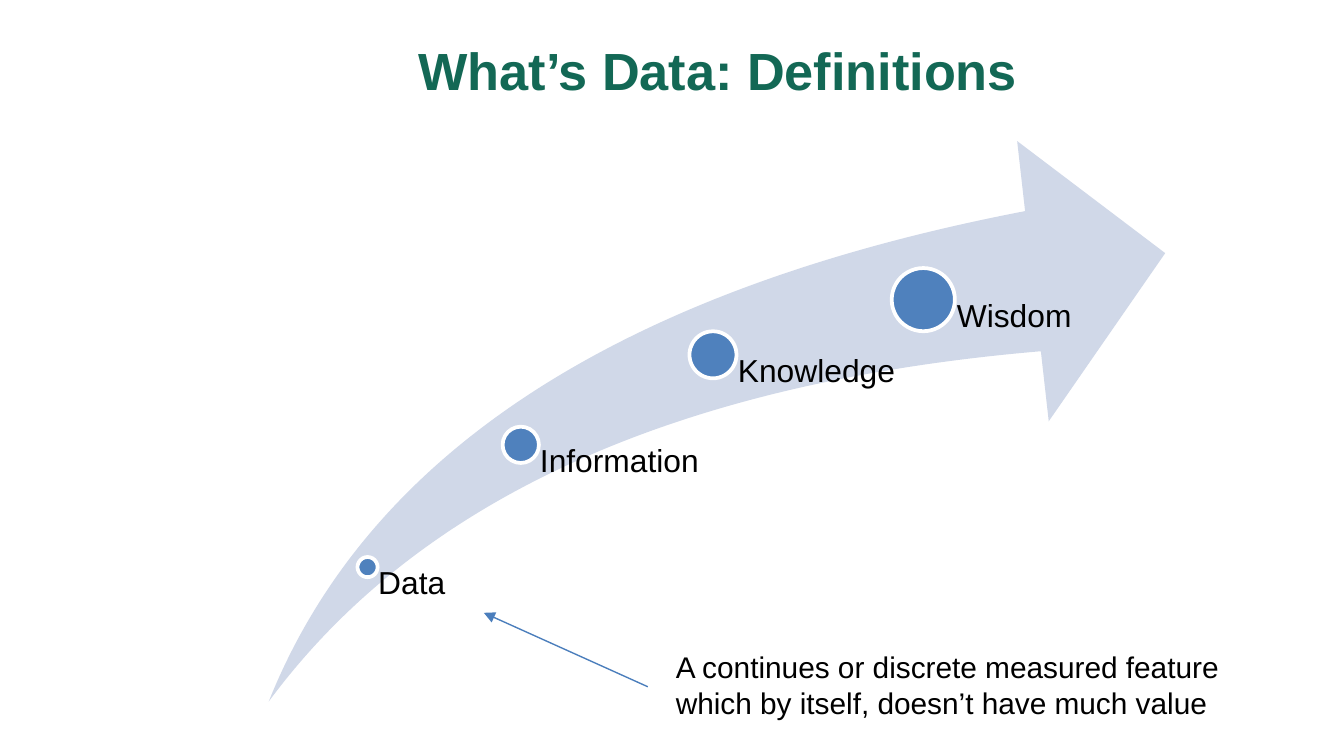
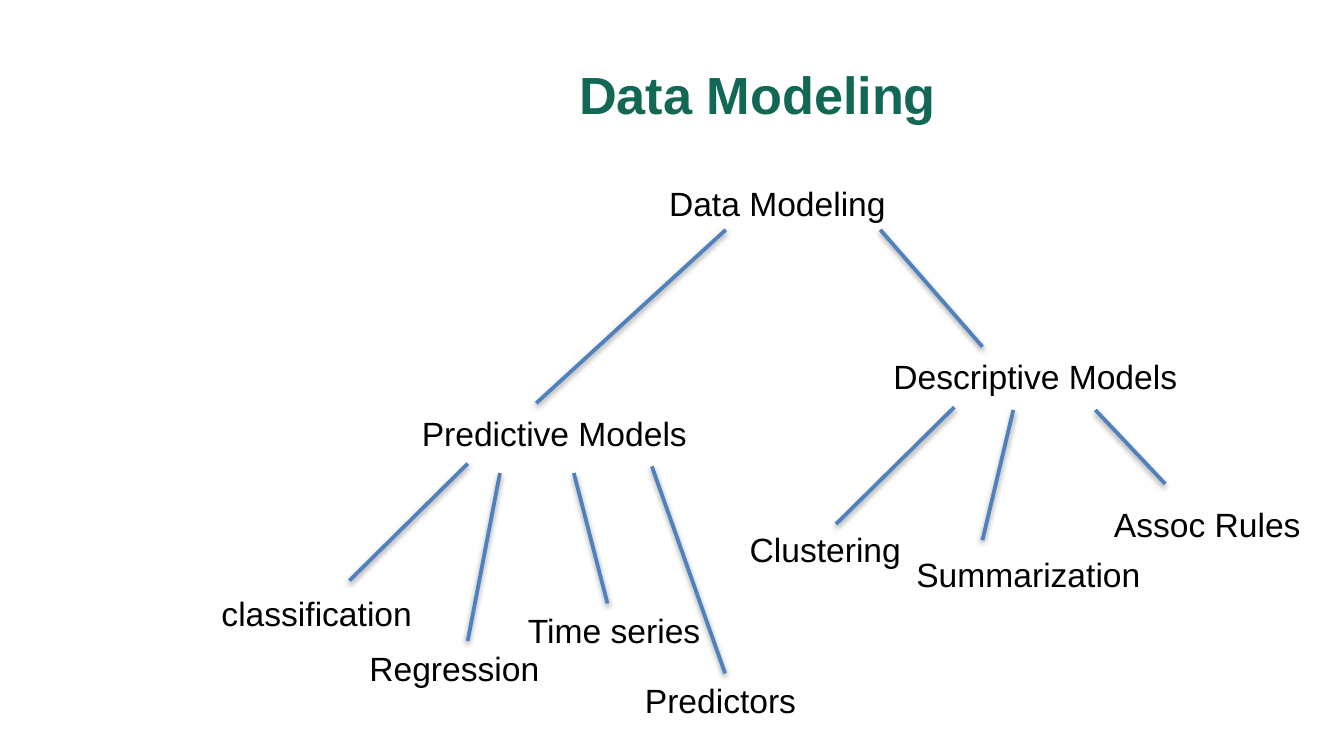
from typing import NamedTuple

from lxml import etree
from pptx import Presentation
from pptx.dml.color import RGBColor
from pptx.enum.shapes import MSO_CONNECTOR, MSO_SHAPE
from pptx.enum.text import MSO_ANCHOR, MSO_AUTO_SIZE, PP_ALIGN
from pptx.oxml.ns import qn
from pptx.shapes.autoshape import Shape
from pptx.shapes.connector import Connector
from pptx.shapes.shapetree import GroupShapes, SlideShapes
from pptx.slide import Slide
from pptx.util import Inches, Pt

Shapes = SlideShapes | GroupShapes

LINE = MSO_CONNECTOR.STRAIGHT
OVAL = MSO_SHAPE.OVAL
SWOOSH = MSO_SHAPE.SWOOSH_ARROW
CENTER = PP_ALIGN.CENTER
MIDDLE = MSO_ANCHOR.MIDDLE
GROW = MSO_AUTO_SIZE.SHAPE_TO_FIT_TEXT
TOP = 0

GREEN = RGBColor(0x13, 0x68, 0x55)
BLUE = RGBColor(0x4F, 0x81, 0xBD)
STEEL = RGBColor(0x4B, 0x7E, 0xBC)
PALE = RGBColor(0xD0, 0xD8, 0xE8)
WHITE = RGBColor(0xFF, 0xFF, 0xFF)
BLACK = RGBColor(0, 0, 0)

FONT = "Arial"
WIDTH, HEIGHT = Inches(10), Inches(5.625)
CELL = WIDTH / 100  # the grid has 100 columns, with square cells
NODE_ROWS = 4
STEP_END = 52.2  # row where every step label's box ends


class Box(NamedTuple):
    """A place on the grid, in columns and rows."""
    left: float
    top: float
    width: float
    height: float


class Step(NamedTuple):
    """A dot on the arrow, given by its middle, and its label."""
    text: str
    x: float
    y: float
    size: float
    width: float


class Node(NamedTuple):
    text: str
    left: float
    top: float
    width: float


class Link(NamedTuple):
    x1: float
    y1: float
    x2: float
    y2: float
    target: str = ""  # node whose top middle the line meets


STEPS = [
    Step("Data", 27.35, 42.2, 1.5, 11.4),
    Step("Information", 38.75, 33.1, 2.7, 14),
    Step("Knowledge", 53.05, 26.4, 3.5, 14),
    Step("Wisdom", 68.7, 22.3, 4.7, 14),
]

NODES = [
    Node("Data Modeling", 48.8, 13.1, 19),
    Node("Predictive Models", 30.4, 30.2, 22.6),
    Node("Descriptive Models", 65.5, 26, 24),
    Node("classification", 15.5, 43.6, 16.6),
    Node("Regression", 26.5, 47.7, 15.1),
    Node("Time series", 38.3, 44.9, 16.1),
    Node("Predictors", 47, 50.1, 13.9),
    Node("Clustering", 54.8, 38.9, 16.6),
    Node("Assoc Rules", 81.9, 37, 16.6),
    Node("Summarization", 67.2, 40.7, 19),
]

LINKS = [
    Link(54, 17.1, 39.9, 30),
    Link(65.5, 17.1, 73.1, 25.8),
    Link(34.8, 34.5, 26, 43.2),
    Link(71, 30.3, 62.2, 39),
    Link(75.4, 30.5, 73.1, 40.2),
    Link(81.5, 30.5, 86.7, 36),
    Link(37.2, 35.2, 34.8, 47.7),
    Link(42.7, 35.2, 45.2, 44.9),
    Link(48.5, 34.7, 54, 50.1, "Predictors"),
]


def grid(*cells: float) -> list[int]:
    """Turn grid cells into slide units."""
    return [round(cell * CELL) for cell in cells]


def add_text(shapes: Shapes, box: Box, text: str, size: float,
             color: RGBColor = BLACK, bold: bool = False) -> Shape:
    """Add a wrapped text box, with one paragraph per line of text."""
    shape = shapes.add_textbox(*grid(*box))
    frame = shape.text_frame
    frame.word_wrap = True
    frame.text = text
    for para in frame.paragraphs:
        font = para.font
        font.name, font.size, font.bold = FONT, Pt(size), bold
        font.color.rgb = color
    return shape


def add_title(slide: Slide, box: Box, text: str) -> None:
    frame = add_text(slide.shapes, box, text, 28, GREEN, True).text_frame
    frame.vertical_anchor = MIDDLE
    frame.paragraphs[0].alignment = CENTER


def add_form(shapes: Shapes, kind: MSO_SHAPE, box: Box, fill: RGBColor) -> Shape:
    """Add a flat preset shape without an outline."""
    shape = shapes.add_shape(kind, *grid(*box))
    shape.shadow.inherit = False
    shape.fill.solid()
    shape.fill.fore_color.rgb = fill
    shape.line.fill.background()
    return shape


def add_step(shapes: Shapes, step: Step) -> None:
    half = step.size / 2
    dot = add_form(shapes, OVAL, Box(step.x - half, step.y - half, step.size, step.size), BLUE)
    dot.line.color.rgb = WHITE
    dot.line.width = Pt(2)
    box = Box(step.x, step.y, step.width, STEP_END - step.y)
    frame = add_text(shapes, box, step.text, 17).text_frame
    frame.margin_left = grid(step.size * 0.53)[0]
    frame.margin_top = frame.margin_right = frame.margin_bottom = 0
    frame.paragraphs[0].line_spacing = 0.9


def add_line(shapes: Shapes, link: Link, color: RGBColor, width: float) -> Connector:
    line = shapes.add_connector(LINE, *grid(*link[:4]))
    line.line.color.rgb = color
    line.line.width = Pt(width)
    etree.SubElement(line._element.spPr, qn("a:effectLst"))
    return line


def add_head(line: Connector) -> None:
    stroke = line._element.spPr.find(qn("a:ln"))
    etree.SubElement(stroke, qn("a:tailEnd"), type="triangle")


def add_shadow(line: Connector) -> None:
    effects = line._element.spPr.find(qn("a:effectLst"))
    shadow = etree.SubElement(effects, qn("a:outerShdw"), blurRad="40000",
                              dist="20000", dir="5400000", rotWithShape="0")
    tint = etree.SubElement(shadow, qn("a:srgbClr"), val=str(BLACK))
    etree.SubElement(tint, qn("a:alpha"), val="38000")


def draw_steps(slide: Slide) -> None:
    add_title(slide, Box(18.8, 2.3, 69.2, 5.8), "What’s Data: Definitions")
    group = slide.shapes.add_group_shape().shapes
    arrow = add_form(group, SWOOSH, Box(20, 10.5, 66.7, 41.7), PALE)
    arrow.adjustments[0] = arrow.adjustments[1] = 0.25
    for step in STEPS:
        add_step(group, step)
    note = add_text(slide.shapes, Box(49.3, 47.8, 43.9, 6.4),
                    "A continues or discrete measured feature\n"
                    "which by itself, doesn’t have much value", 16)
    note.text_frame.auto_size = GROW
    add_head(add_line(slide.shapes, Link(48.2, 51.1, 36, 45.6), STEEL, 0.75))


def draw_tree(slide: Slide) -> None:
    add_title(slide, Box(18.8, 2.3, 76.2, 9.4), "Data Modeling ")
    shapes = slide.shapes
    boxes = {
        node.text: add_text(shapes, Box(node.left, node.top, node.width, NODE_ROWS),
                            node.text, 18)
        for node in NODES
    }
    for link in LINKS:
        line = add_line(shapes, link, BLUE, 2)
        add_shadow(line)
        if link.target:
            line.end_connect(boxes[link.target], TOP)


def main() -> None:
    deck = Presentation()
    deck.slide_width, deck.slide_height = WIDTH, HEIGHT
    blank = deck.slide_layouts[6]
    for draw in (draw_steps, draw_tree):
        draw(deck.slides.add_slide(blank))
    deck.save("out.pptx")


if __name__ == "__main__":
    main()
